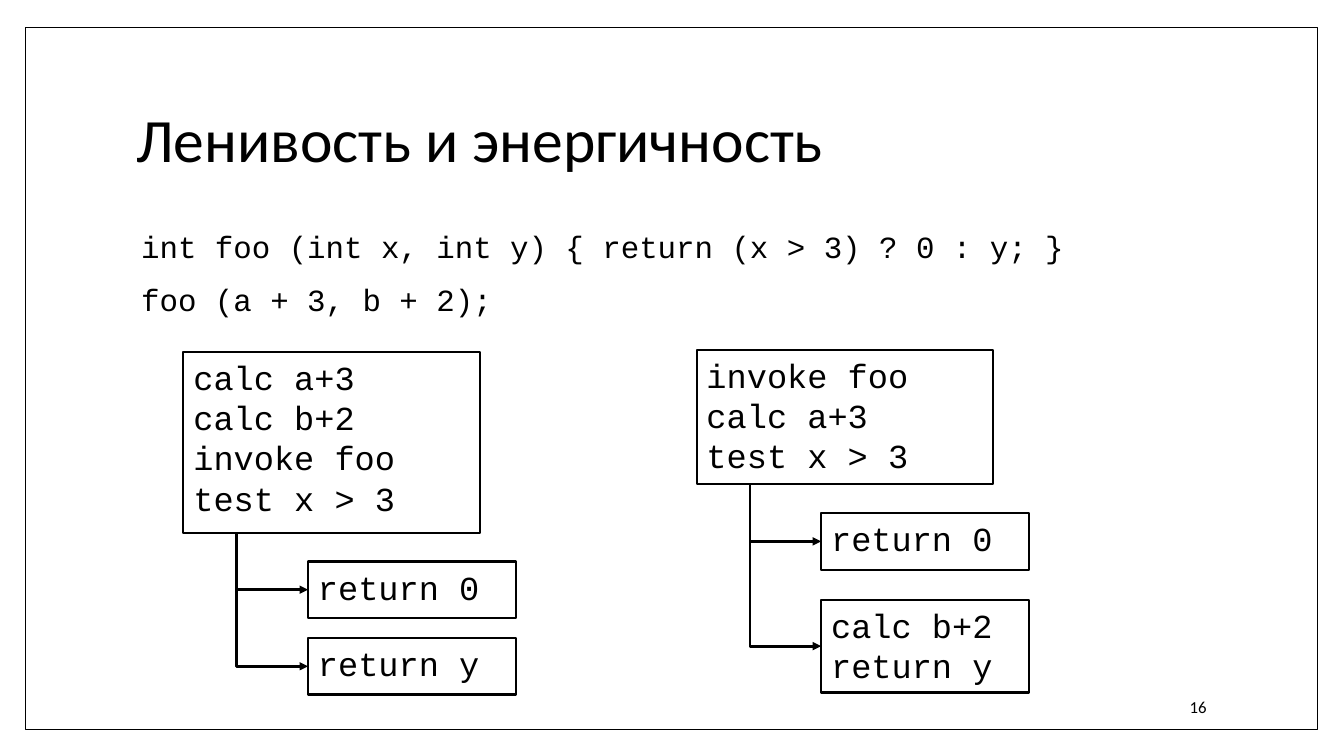
from dataclasses import dataclass

from lxml.etree import SubElement
from pptx import Presentation
from pptx.dml.color import RGBColor
from pptx.enum.shapes import MSO_CONNECTOR, MSO_SHAPE
from pptx.enum.text import MSO_ANCHOR, MSO_AUTO_SIZE, PP_ALIGN
from pptx.oxml.ns import qn
from pptx.util import Inches, Pt

WIDTH, HEIGHT = Inches(13.33), Inches(7.5)
COL, ROW = WIDTH / 100, HEIGHT / 100
TRUNK, INDENT = 3.97, 9.27
HEAD_WIDTH, LEAF_WIDTH = 22.05, 15.45


@dataclass(frozen=True)
class Theme:
    """Colours, fonts, type sizes and line widths."""
    ink: RGBColor = RGBColor(0, 0, 0)
    paper: RGBColor = RGBColor(255, 255, 255)
    text: str = "Calibri"
    code: str = "Courier New"
    title: int = 44
    listing: int = 22
    step: int = 24
    number: int = 12
    frame: float = 1
    border: float = 1.5
    arrow: float = 2


THEME = Theme()


def grid(*cells):
    """Turn alternating columns and rows into slide lengths."""
    return [round(n * (ROW if i % 2 else COL)) for i, n in enumerate(cells)]


def place(sp, *cells):
    """Move a shape to left, top, width and height on the grid."""
    sp.left, sp.top, sp.width, sp.height = grid(*cells)


def write(sp, lines, font, size, align=PP_ALIGN.LEFT, anchor=MSO_ANCHOR.TOP):
    """Fill a shape with one paragraph per line and return the paragraphs."""
    tf = sp.text_frame
    tf.text = "\n".join(lines)
    tf.word_wrap = True
    tf.auto_size = MSO_AUTO_SIZE.NONE
    tf.vertical_anchor = anchor
    for p in tf.paragraphs:
        SubElement(p._p.get_or_add_pPr(), qn("a:buNone"))
        p.alignment = align
        p.font.name, p.font.size = font, Pt(size)
        p.font.color.rgb = THEME.ink
    return tf.paragraphs


def add_box(s, kind, line, *cells):
    """Add an outlined shape filled with the paper colour."""
    sp = s.shapes.add_shape(kind, *grid(*cells))
    sp.shadow.inherit = False
    sp.fill.solid()
    sp.fill.fore_color.rgb = THEME.paper
    sp.line.color.rgb = THEME.ink
    sp.line.width = Pt(line)
    return sp


def add_steps(s, lines, *cells):
    """Add a process box listing evaluation steps."""
    sp = add_box(s, MSO_SHAPE.FLOWCHART_PROCESS, THEME.border, *cells)
    write(sp, lines, THEME.code, THEME.step)


def add_branch(s, *cells):
    """Add an arrow that runs down and then right."""
    c = s.shapes.add_connector(MSO_CONNECTOR.ELBOW, *grid(*cells))
    c.line.color.rgb = THEME.ink
    c.line.width = Pt(THEME.arrow)
    props = c.element.spPr
    guides = props.find(qn("a:prstGeom")).get_or_add_avLst()
    SubElement(guides, qn("a:gd"), name="adj1", fmla="val 0")
    SubElement(props.find(qn("a:ln")), qn("a:tailEnd"), type="triangle")
    SubElement(props, qn("a:effectLst"))


def add_tree(s, left, top, height, steps, leaves):
    """Add a box of steps with an arrow to each possible outcome."""
    add_steps(s, steps, left, top, HEAD_WIDTH, height)
    for leaf_top, leaf_height, lines in leaves:
        add_steps(s, lines, left + INDENT, leaf_top, LEAF_WIDTH, leaf_height)
        add_branch(s, left + TRUNK, top + height,
                   left + INDENT, leaf_top + leaf_height / 2)


def add_heading(s, text):
    """Fill the title placeholder and put the page frame behind it."""
    title = s.shapes.title
    place(title, 9.38, 8.93, 81, 19.73)
    p, = write(title, [text], THEME.text, THEME.title, anchor=MSO_ANCHOR.MIDDLE)
    p.line_spacing = 0.9
    frame = add_box(s, MSO_SHAPE.RECTANGLE, THEME.frame, 1.88, 3.6, 96.15, 92.93)
    title.element.addprevious(frame.element)


def add_listing(s, lines):
    """Fill the body placeholder with lines of code."""
    body = s.placeholders[1]
    place(body, 9.38, 30, 81, 58.93)
    for i, p in enumerate(write(body, lines, THEME.code, THEME.listing)):
        p.line_spacing = 0.9
        p.space_before = Pt(14 if i else 0)
        props = p._p.get_or_add_pPr()
        props.set("marL", str(Inches(0.05)))
        props.set("indent", "0")


def add_number(s, text):
    """Add the page number."""
    sp = s.shapes.add_textbox(*grid(76.5, 90.8, 14.03, 5.33))
    write(sp, [text], THEME.text, THEME.number, PP_ALIGN.RIGHT, MSO_ANCHOR.MIDDLE)


def main():
    """Build and save the slide."""
    prs = Presentation()
    prs.slide_width, prs.slide_height = WIDTH, HEIGHT
    s = prs.slides.add_slide(prs.slide_layouts[1])
    add_heading(s, "Ленивость и энергичность")
    add_listing(s, ["int foo (int x, int y) { return (x > 3) ? 0 : y; }",
                    "foo (a + 3, b + 2);"])
    add_number(s, "16")
    add_tree(s, 13.65, 46.53, 24,
             ["calc a+3", "calc b+2", "invoke foo", "test x > 3"],
             [(74.27, 7.47, ["return 0"]), (84.4, 7.47, ["return y"])])
    add_tree(s, 51.83, 46.27, 17.73,
             ["invoke foo", "calc a+3", "test x > 3"],
             [(67.87, 7.47, ["return 0"]),
              (79.33, 12.27, ["calc b+2", "return y"])])
    prs.save("out.pptx")


if __name__ == "__main__":
    main()
